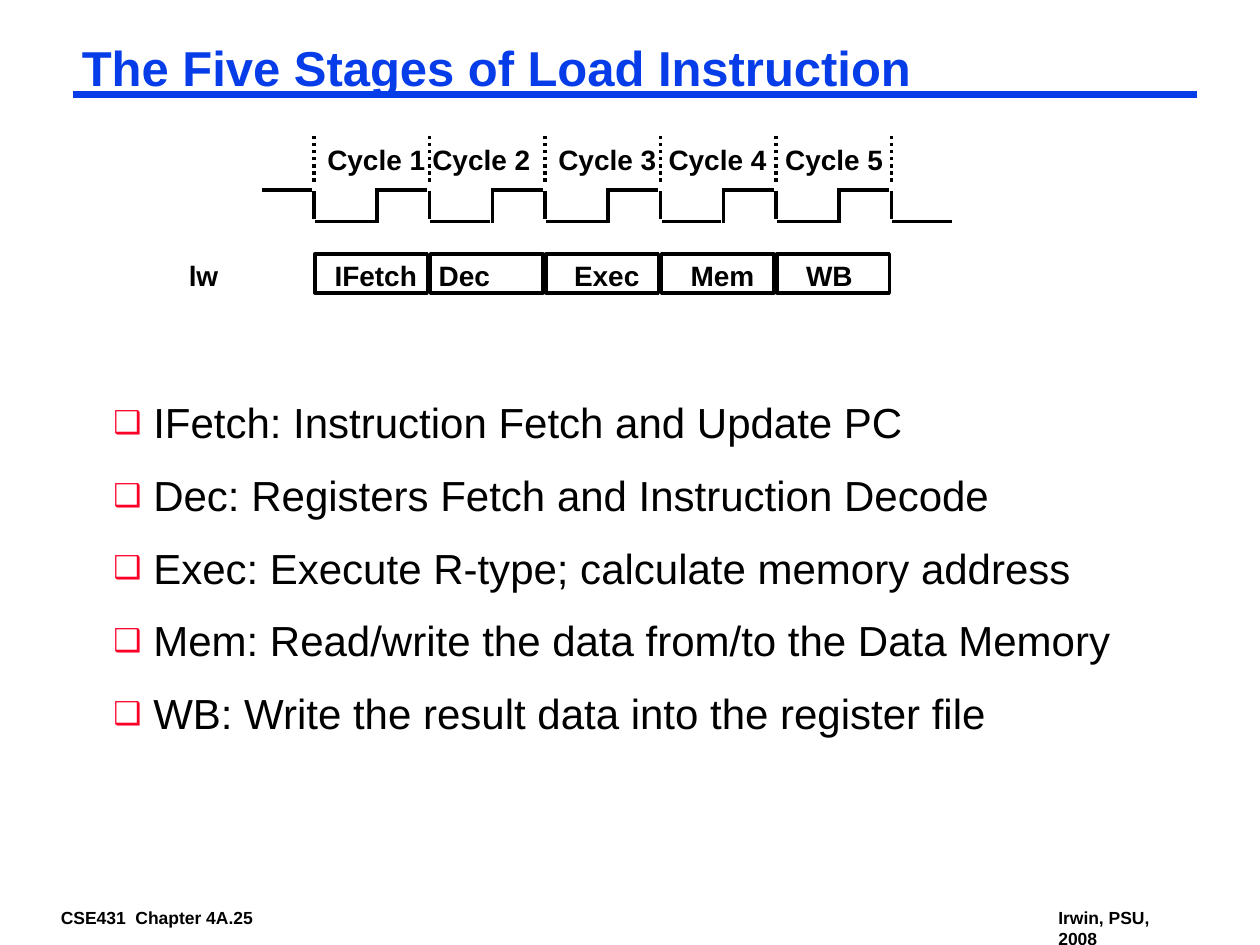
from dataclasses import dataclass

import pptx
import pptx.dml.color
import pptx.enum.dml
import pptx.enum.shapes
import pptx.enum.text
import pptx.oxml
import pptx.oxml.ns
import pptx.util

PX = 7620  # EMU per px, 120 px to the inch
BLACK = pptx.dml.color.RGBColor(0x00, 0x00, 0x00)
BLUE = pptx.dml.color.RGBColor(0x06, 0x3D, 0xE8)
RED = pptx.dml.color.RGBColor(0xFC, 0x01, 0x28)
FONT = "Arial"
CYCLE_X, CYCLE_W = 300, 110
HIGH_Y, LOW_Y = 181, 211


@dataclass
class Stage:
    name: str
    label_x: int
    label_w: int
    cycle_x: int
    meaning: str


STAGES = [
    Stage("IFetch", 307, 106, 300, "Instruction Fetch and Update PC"),
    Stage("Dec", 406, 78, 400, "Registers Fetch and Instruction Decode"),
    Stage("Exec", 535, 90, 520, "Execute R-type; calculate memory address"),
    Stage("Mem", 646, 90, 625, "Read/write the data from/to the Data Memory"),
    Stage("WB", 756, 74, 736, "Write the result data into the register file"),
]


def px(n: int) -> pptx.util.Emu:
    return pptx.util.Emu(n * PX)


def add_bullet(p) -> None:
    pPr = p._p.get_or_add_pPr()
    pPr.set("marL", str(px(38)))
    pPr.set("indent", str(px(-38)))
    ns = pptx.oxml.ns.nsdecls("a")
    for xml in (
        f'<a:buClr {ns}><a:srgbClr val="{RED}"/></a:buClr>',
        f'<a:buSzPct {ns} val="75000"/>',
        f'<a:buFont {ns} typeface="{FONT}"/>',
        f'<a:buChar {ns} char="❑"/>',
    ):
        pPr.append(pptx.oxml.parse_xml(xml))


def add_text(s, text: str, x: int, y: int, w: int, h: int, *, size: int = 16,
             bold: bool = True, color=BLACK, inset: tuple = (12, 6),
             wrap: bool = True, spacing: float = 1.0, before: float = 0,
             bullets: bool = False):
    sp = s.shapes.add_textbox(px(x), px(y), px(w), px(h))
    tf = sp.text_frame
    tf.word_wrap = wrap
    tf.auto_size = pptx.enum.text.MSO_AUTO_SIZE.SHAPE_TO_FIT_TEXT
    tf.margin_left = tf.margin_right = px(inset[0])
    tf.margin_top = tf.margin_bottom = px(inset[1])
    for i, line in enumerate(text.split("\n")):
        p = tf.add_paragraph() if i else tf.paragraphs[0]
        if bullets:
            add_bullet(p)
        p.line_spacing = spacing
        p.space_before = pptx.util.Pt(before if i else 0)
        r = p.add_run()
        r.text = line
        r.font.name = FONT
        r.font.size = pptx.util.Pt(size)
        r.font.bold = bold
        r.font.color.rgb = color
    return sp


def add_line(s, x1: int, y1: int, x2: int, y2: int, *, color=BLACK,
             width: float = 2, dotted: bool = False):
    sp = s.shapes.add_connector(pptx.enum.shapes.MSO_CONNECTOR.STRAIGHT,
                                px(x1), px(y1), px(x2), px(y2))
    sp.line.color.rgb = color
    sp.line.width = pptx.util.Pt(width)
    if dotted:
        sp.line.dash_style = pptx.enum.dml.MSO_LINE.ROUND_DOT
    sp._element.spPr.append(pptx.oxml.parse_xml(
        f'<a:effectLst {pptx.oxml.ns.nsdecls("a")}/>'))
    return sp


def add_box(s, x: int, y: int, w: int, h: int):
    sp = s.shapes.add_shape(pptx.enum.shapes.MSO_SHAPE.RECTANGLE,
                            px(x), px(y), px(w), px(h))
    sp.shadow.inherit = False
    sp.fill.background()
    sp.line.color.rgb = BLACK
    sp.line.width = pptx.util.Pt(2)
    return sp


def draw_clock(s) -> None:
    # High level, including the lead-in before the first cycle
    for i in range(-1, len(STAGES)):
        x = CYCLE_X + i * CYCLE_W
        add_line(s, x + 60, HIGH_Y, x + 107, HIGH_Y)
    # Falling edge, low level and dotted cycle boundary
    for i in range(len(STAGES) + 1):
        x = CYCLE_X + i * CYCLE_W
        add_line(s, x, LOW_Y, x + 57, LOW_Y)
        add_line(s, x - 1, HIGH_Y + 1, x - 1, LOW_Y - 2)
        add_line(s, x - 1, 173, x - 1, 130, dotted=True)
    # Rising edge
    for i in range(len(STAGES)):
        x = CYCLE_X + i * CYCLE_W + 59
        add_line(s, x, LOW_Y + 1, x, HIGH_Y - 2)


def draw_stages(s) -> None:
    add_text(s, "lw", 168, 240, 58, 43)
    for i, stage in enumerate(STAGES):
        add_text(s, f"Cycle {i + 1}", stage.cycle_x, 130, 122, 43)
        add_box(s, CYCLE_X + i * CYCLE_W, 242, 107, 37)
        add_text(s, stage.name, stage.label_x, 240, stage.label_w, 43)


def main() -> None:
    prs = pptx.Presentation()
    prs.slide_width, prs.slide_height = px(1200), px(900)
    s = prs.slides.add_slide(prs.slide_layouts[6])

    # Footer
    add_text(s, "CSE431  Chapter 4A.25", 50, 860, 203, 26, size=10, inset=(8, 4),
             wrap=False)
    add_text(s, "Irwin, PSU, 2008", 1000, 860, 144, 47, size=10, inset=(8, 4))

    # Title and rule
    add_line(s, 70, 90, 1140, 90, color=BLUE, width=4.5)
    add_text(s, "The Five Stages of Load Instruction", 70, 39, 840, 55, size=28,
             color=BLUE, inset=(8, 4), spacing=0.87)

    # Stage meanings
    add_text(s, "\n".join(f"{stage.name}: {stage.meaning}" for stage in STAGES),
             100, 379, 995, 347, size=24, bold=False, inset=(8, 4),
             spacing=0.9, before=15.7, bullets=True)

    # Timing diagram
    draw_clock(s)
    draw_stages(s)

    prs.save("out.pptx")


if __name__ == "__main__":
    main()
